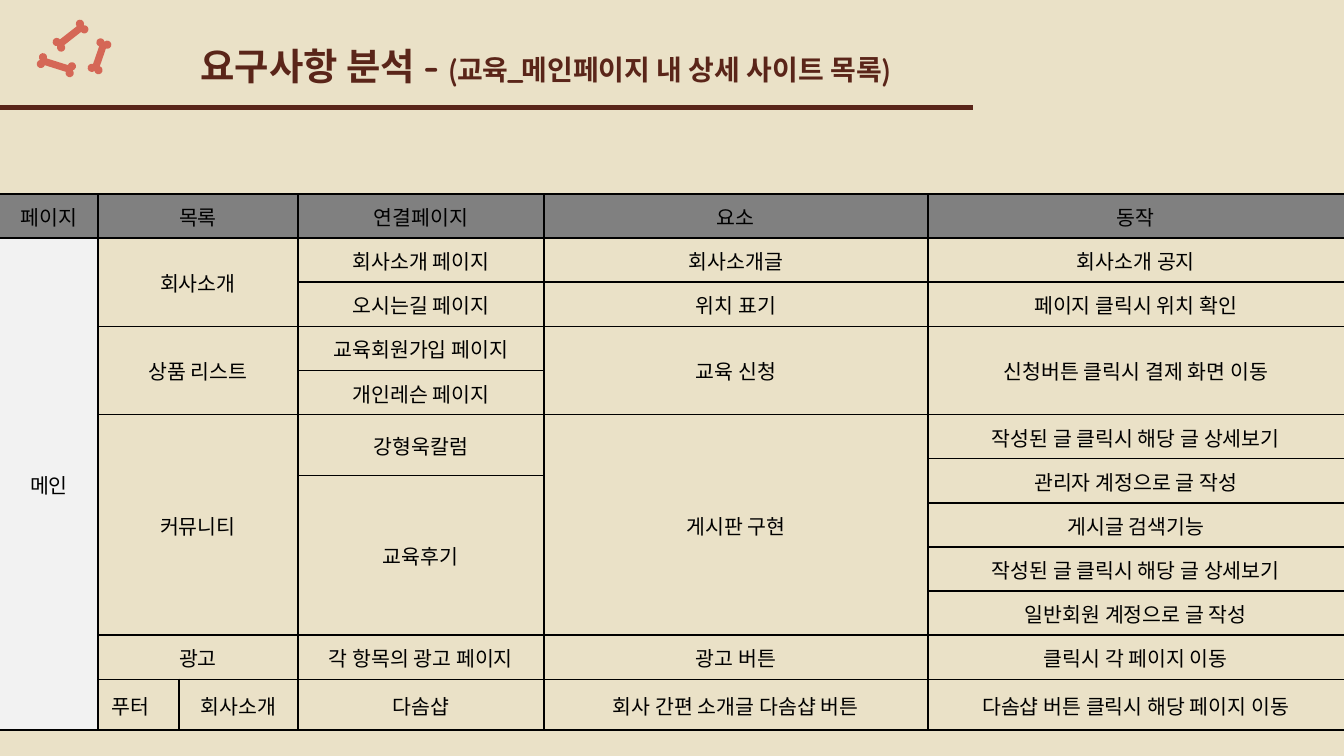
from math import cos, sin, radians

from lxml.etree import SubElement
from pptx import Presentation
from pptx.dml.color import RGBColor
from pptx.enum.shapes import MSO_CONNECTOR as CONN
from pptx.enum.text import MSO_ANCHOR as ANC, MSO_AUTO_SIZE as AUTO, PP_ALIGN as AL
from pptx.oxml import parse_xml
from pptx.oxml.ns import nsdecls, qn
from pptx.util import Pt

BROWN, CORAL, BLACK = "5A2519", "D56756", "000000"


def color(fmt, value):
    fmt.solid()
    fmt.fore_color.rgb = RGBColor.from_string(value)


def add_text(p, text, **fmt):
    r = p.add_run()
    r.text = text
    for key, value in fmt.items():
        setattr(r.font, key, value)
    return r


prs = Presentation()
prs.slide_width, prs.slide_height = Pt(720), Pt(405)
s = prs.slides.add_slide(prs.slide_layouts[5])
color(s.background.fill, "EAE1C7")

sp = s.shapes.title
sp.left, sp.top, sp.width, sp.height = Pt(0), Pt(12.2), Pt(584), Pt(45.4)
tf = sp.text_frame
frame = {"word_wrap": True, "auto_size": AUTO.NONE, "vertical_anchor": ANC.MIDDLE}
frame.update({f"margin_{side}": Pt(7.2) for side in ("left", "top", "right", "bottom")})
for key, value in frame.items():
    setattr(tf, key, value)
p = tf.paragraphs[0]
p.alignment = AL.CENTER
for text, size in (("요구사항 분석 - ", 20), ("(교육_메인페이지 내 상세 사이트 목록)", 15)):
    r = add_text(p, text, size=Pt(size), name="Comfortaa", bold=True)
    color(r.font.fill, BROWN)

bones = [(53.3, 30.2, 7.2, 109), (30.2, 34.9, 8.1, 17.5), (37.8, 19.1, 7.9, -38)]
for cx, cy, half, tilt in bones:
    tilt = radians(tilt)
    pts = []
    for side, edge, start in ((1, 1, 180), (1, -1, 60), (-1, -1, 0), (-1, 1, 240)):
        for step in range(0, 241, 30):
            a = radians(start - step)
            x = side * half + 2.2 * cos(a)
            y = edge * 1.9 + 2.2 * sin(a)
            pts.append((Pt(cx + x * cos(tilt) - y * sin(tilt)),
                        Pt(cy + x * sin(tilt) + y * cos(tilt))))
    fb = s.shapes.build_freeform(*pts[0])
    fb.add_line_segments(pts[1:])
    sp = fb.convert_to_shape()
    sp.shadow.inherit = False
    color(sp.fill, CORAL)
    sp.line.fill.background()

rule = s.shapes.add_connector(CONN.STRAIGHT, Pt(0), Pt(57.5), Pt(521.5), Pt(57.5))
rule.line.width = Pt(3)
color(rule.line.fill, BROWN)
SubElement(rule._element.spPr, qn("a:effectLst"))

widths = [52.5, 43.4, 63.7, 131.8, 205.7, 222.9]
heights = [23.6] * 6 + [9.1, 14.5] + [23.6] * 4 + [27.3]
entries = [
    (0, 0, 1, 1, "페이지"), (0, 1, 1, 2, "목록"), (0, 3, 1, 1, "연결페이지"),
    (0, 4, 1, 1, "요소"), (0, 5, 1, 1, "동작"),
    (1, 0, 12, 1, "메인"), (1, 1, 2, 2, "회사소개"), (1, 3, 1, 1, "회사소개 페이지"),
    (1, 4, 1, 1, "회사소개글"), (1, 5, 1, 1, "회사소개 공지"),
    (2, 3, 1, 1, "오시는길 페이지"), (2, 4, 1, 1, "위치 표기"),
    (2, 5, 1, 1, "페이지 클릭시 위치 확인"),
    (3, 1, 2, 2, "상품 리스트"), (3, 3, 1, 1, "교육회원가입 페이지"),
    (3, 4, 2, 1, "교육 신청"), (3, 5, 2, 1, "신청버튼 클릭시 결제 화면 이동"),
    (4, 3, 1, 1, "개인레슨 페이지"),
    (5, 1, 6, 2, "커뮤니티"), (5, 3, 2, 1, "강형욱칼럼"), (5, 4, 6, 1, "게시판 구현"),
    (5, 5, 1, 1, "작성된 글 클릭시 해당 글 상세보기"),
    (6, 5, 2, 1, "관리자 계정으로 글 작성"), (7, 3, 4, 1, "교육후기"),
    (8, 5, 1, 1, "게시글 검색기능"), (9, 5, 1, 1, "작성된 글 클릭시 해당 글 상세보기"),
    (10, 5, 1, 1, "일반회원 계정으로 글 작성"),
    (11, 1, 1, 2, "광고"), (11, 3, 1, 1, "각 항목의 광고 페이지"),
    (11, 4, 1, 1, "광고 버튼"), (11, 5, 1, 1, "클릭시 각 페이지 이동"),
    (12, 1, 1, 1, "푸터"), (12, 2, 1, 1, "회사소개"), (12, 3, 1, 1, "다솜샵"),
    (12, 4, 1, 1, "회사 간편 소개글 다솜샵 버튼"),
    (12, 5, 1, 1, "다솜샵 버튼 클릭시 해당 페이지 이동"),
]
tbl = s.shapes.add_table(len(heights), len(widths), Pt(0), Pt(103.9),
                         Pt(sum(widths)), Pt(sum(heights))).table
tbl.first_row = tbl.horz_banding = False
for col, width in zip(tbl.columns, widths):
    col.width = Pt(width)
for row, height in zip(tbl.rows, heights):
    row.height = Pt(height)

last = len(widths) - 1
for i in range(len(heights)):
    for j in range(len(widths)):
        cell = tbl.cell(i, j)
        if i == 0:
            color(cell.fill, "808080")
        elif j == 0:
            color(cell.fill, "F2F2F2")
        else:
            cell.fill.background()
        tcPr = cell._tc.get_or_add_tcPr()
        for n, side in enumerate("LRTB"):
            outer = (side, j) in (("L", 0), ("R", last))
            paint = "<a:noFill/>" if outer else (
                f'<a:solidFill><a:srgbClr val="{BLACK}"/></a:solidFill>')
            tcPr.insert(n, parse_xml(
                f'<a:ln{side} {nsdecls("a")} w="{Pt(1)}">{paint}</a:ln{side}>'))

for i, j, rows, cols, text in entries:
    cell = tbl.cell(i, j)
    if rows * cols > 1:
        cell.merge(tbl.cell(i + rows - 1, j + cols - 1))
    cell.vertical_anchor = ANC.MIDDLE
    p = cell.text_frame.paragraphs[0]
    p.alignment = AL.LEFT if text == "푸터" else AL.CENTER
    p.line_spacing = 1.03
    r = add_text(p, text, size=Pt(11), name="Noto Sans CJK KR")
    color(r.font.fill, BLACK)
    SubElement(r._r.rPr, qn("a:ea"), typeface="Noto Sans CJK KR")

prs.save("out.pptx")
